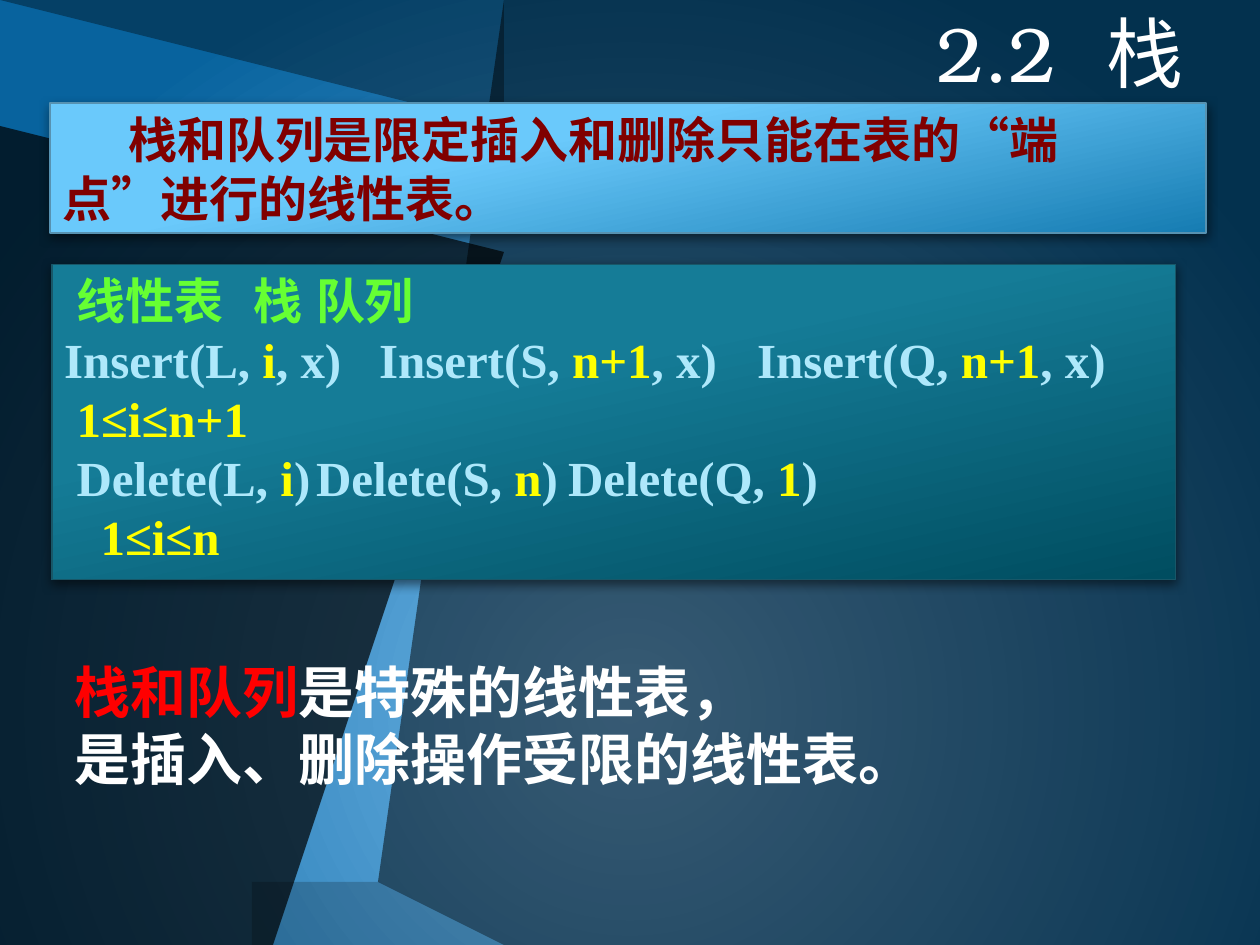
from lxml import etree
from pptx import Presentation
from pptx.dml.color import RGBColor
from pptx.enum.shapes import MSO_SHAPE
from pptx.enum.text import MSO_ANCHOR, PP_ALIGN
from pptx.oxml import parse_xml
from pptx.oxml.ns import qn
from pptx.util import Inches, Pt

RECTANGLE = MSO_SHAPE.RECTANGLE
TOP, BOTTOM = MSO_ANCHOR.TOP, MSO_ANCHOR.BOTTOM
RIGHT = PP_ALIGN.RIGHT
NS = 'xmlns:a="http://schemas.openxmlformats.org/drawingml/2006/main"'

SERIF, CJK, TITLE_FONT = "Times New Roman", "Noto Sans CJK SC", "TeX Gyre Bonum"
COLORS = {
    "black": "000000", "white": "FFFFFF", "red": "FF0000", "maroon": "800000",
    "green": "66FF33", "pale": "AEE8FB", "yellow": "FFFF00",
    "sky": "70B6E8", "deep": "08639E",
    "blue_light": "6AC9FB", "blue_dark": "167CB2", "blue_line": "5792B1",
    "teal_light": "157C97", "teal_dark": "004D60", "teal_line": "185768",
}

# Background panels: opacity and outline; six numbers are a curve, two a line
PANELS = [
    (70, [(0, 0.53), (3.73, 1.54), (3.78, 1.55, 3.81, 1.6, 3.79, 1.65),
          (2.21, 7.5), (0, 7.5)]),
    (35, [(0, 0), (4.23, 0), (3.86, 1.38), (3.85, 1.43, 3.8, 1.45, 3.75, 1.44),
          (0, 0.43)]),
    (20, [(2.51, 6.96), (2.52, 6.95, 2.54, 6.95, 2.55, 6.96), (4.55, 7.5),
          (2.31, 7.5), (2.44, 7.02), (2.45, 6.99, 2.48, 6.96, 2.51, 6.96)]),
    (50, [(4.34, 0), (10, 0), (10, 7.5), (4.95, 7.5), (2.58, 6.86),
          (2.53, 6.85, 2.51, 6.8, 2.52, 6.75)]),
]

TITLE = "2.2  栈"

# Paragraphs: first-line indent, tab stops, runs of (text, colour)
DEFINITION = [
    (0.52, [], [("栈和队列是限定插入和删除只能在表的“端点”进行的线性表。", "maroon")]),
]
OPERATIONS = [
    (0.1, [1.78, 2.97], [("线性表\t栈\t队列", "green")]),
    (0, [2.49, 5.46], [
        ("Insert(L, ", "pale"), ("i", "yellow"), (", x)\tInsert(S, ", "pale"),
        ("n+1", "yellow"), (", x)\tInsert(Q, ", "pale"), ("n+1", "yellow"),
        (", x)", "pale")]),
    (0.1, [], [("1≤i≤n+1", "yellow")]),
    (0.1, [2.43, 5.52], [
        ("Delete(L, ", "pale"), ("i", "yellow"), (")\tDelete(S, ", "pale"),
        ("n", "yellow"), (")\tDelete(Q, ", "pale"), ("1", "yellow"), (")", "pale")]),
    (0.29, [], [("1≤i≤n", "yellow")]),
]
SUMMARY = [
    (0, [], [("栈和队列", "red"), ("是特殊的线性表，", "white")]),
    (0, [], [("是插入、删除操作受限的线性表。", "white")]),
]


def rgb(name):
    return RGBColor.from_string(COLORS[name])


def set_gradient(fill, stops):
    fill.gradient()
    for stop, (position, color) in zip(fill.gradient_stops, stops):
        stop.position = position
        stop.color.rgb = rgb(color)


def style_font(paragraph, name, size, bold):
    font = paragraph.font
    font.name, font.size, font.bold = name, Pt(size), bold
    properties = paragraph._p.pPr.find(qn("a:defRPr"))
    etree.SubElement(properties, qn("a:ea")).set("typeface", CJK)


def write(frame, paragraphs, size):
    frame.word_wrap = True
    frame.vertical_anchor = TOP
    for index, (indent, tabs, runs) in enumerate(paragraphs):
        paragraph = frame.add_paragraph() if index else frame.paragraphs[0]
        properties = paragraph._p.get_or_add_pPr()
        properties.set("marL", "0")
        properties.set("indent", str(Inches(indent)))
        properties.set("algn", "l")
        if tabs:
            tab_list = etree.SubElement(properties, qn("a:tabLst"))
            for position in tabs:
                etree.SubElement(tab_list, qn("a:tab"),
                                 pos=str(Inches(position)), algn="l")
        style_font(paragraph, SERIF, size, True)
        for text, color in runs:
            run = paragraph.add_run()
            run.text = text
            run.font.color.rgb = rgb(color)


def outline_points(steps):
    """Turn lines and cubic curves into a list of points."""
    points = []
    for step in steps:
        if len(step) == 2:
            points.append(step)
            continue
        start, a, b, end = points[-1], step[:2], step[2:4], step[4:]
        for t in (k / 8 for k in range(1, 9)):
            points.append(tuple(
                (1 - t) ** 3 * start[i] + 3 * (1 - t) ** 2 * t * a[i]
                + 3 * (1 - t) * t ** 2 * b[i] + t ** 3 * end[i] for i in (0, 1)))
    return points


def add_panel(slide, opacity, steps):
    first, *rest = outline_points(steps)
    builder = slide.shapes.build_freeform(*first, scale=Inches(1))
    builder.add_line_segments(rest, close=True)
    panel = builder.convert_to_shape()
    panel.shadow.inherit = False
    panel.line.fill.background()
    panel.fill.solid()
    panel.fill.fore_color.rgb = rgb("black")
    color = panel._element.spPr.find(".//" + qn("a:srgbClr"))
    etree.SubElement(color, qn("a:alpha")).set("val", str(opacity * 1000))


def add_box(slide, place, tone, paragraphs):
    box = slide.shapes.add_shape(RECTANGLE, *map(Inches, place))
    set_gradient(box.fill, [(0.38, tone + "_light"), (1, tone + "_dark")])
    box.fill.gradient_angle = 360 - 78
    box.line.color.rgb = rgb(tone + "_line")
    box.line.width = Pt(1)
    box.shadow.inherit = False
    box._element.spPr.find(qn("a:effectLst")).append(parse_xml(
        f'<a:outerShdw {NS} blurRad="{Pt(6)}" dist="{Pt(2)}" dir="5400000" '
        f'rotWithShape="0"><a:srgbClr val="{COLORS["black"]}">'
        '<a:alpha val="50000"/></a:srgbClr></a:outerShdw>'))
    write(box.text_frame, paragraphs, 28)


def main():
    prs = Presentation()
    prs.slide_width, prs.slide_height = Inches(10), Inches(7.5)
    slide = prs.slides.add_slide(prs.slide_layouts[5])

    # Background: radial glow under dark panels
    set_gradient(slide.background.fill, [(0, "sky"), (1, "deep")])
    gradient = slide.element.find(".//" + qn("a:gradFill"))
    gradient.replace(gradient.find(qn("a:lin")), parse_xml(
        f'<a:path {NS} path="circle">'
        '<a:fillToRect l="50000" t="50000" r="50000"/></a:path>'))
    for opacity, steps in PANELS:
        add_panel(slide, opacity, steps)

    # Definition and table of operations
    add_box(slide, (0.4, 0.82, 9.17, 1.03), "blue", DEFINITION)
    add_box(slide, (0.41, 2.1, 8.92, 2.5), "teal", OPERATIONS)

    # Summary
    summary = slide.shapes.add_textbox(*map(Inches, (0.49, 5.17, 8.91, 1.17)))
    write(summary.text_frame, SUMMARY, 32)

    # Title, brought in front of the panels
    title = slide.shapes.title
    title.left, title.top, title.width, title.height = map(
        Inches, (0.49, -0.42, 9, 1.25))
    title.text_frame.text = TITLE
    title.text_frame.vertical_anchor = BOTTOM
    heading = title.text_frame.paragraphs[0]
    heading.alignment = RIGHT
    style_font(heading, TITLE_FONT, 44, False)
    heading.font.color.rgb = rgb("white")
    slide.shapes._spTree.append(title._element)

    prs.save("out.pptx")


if __name__ == "__main__":
    main()
